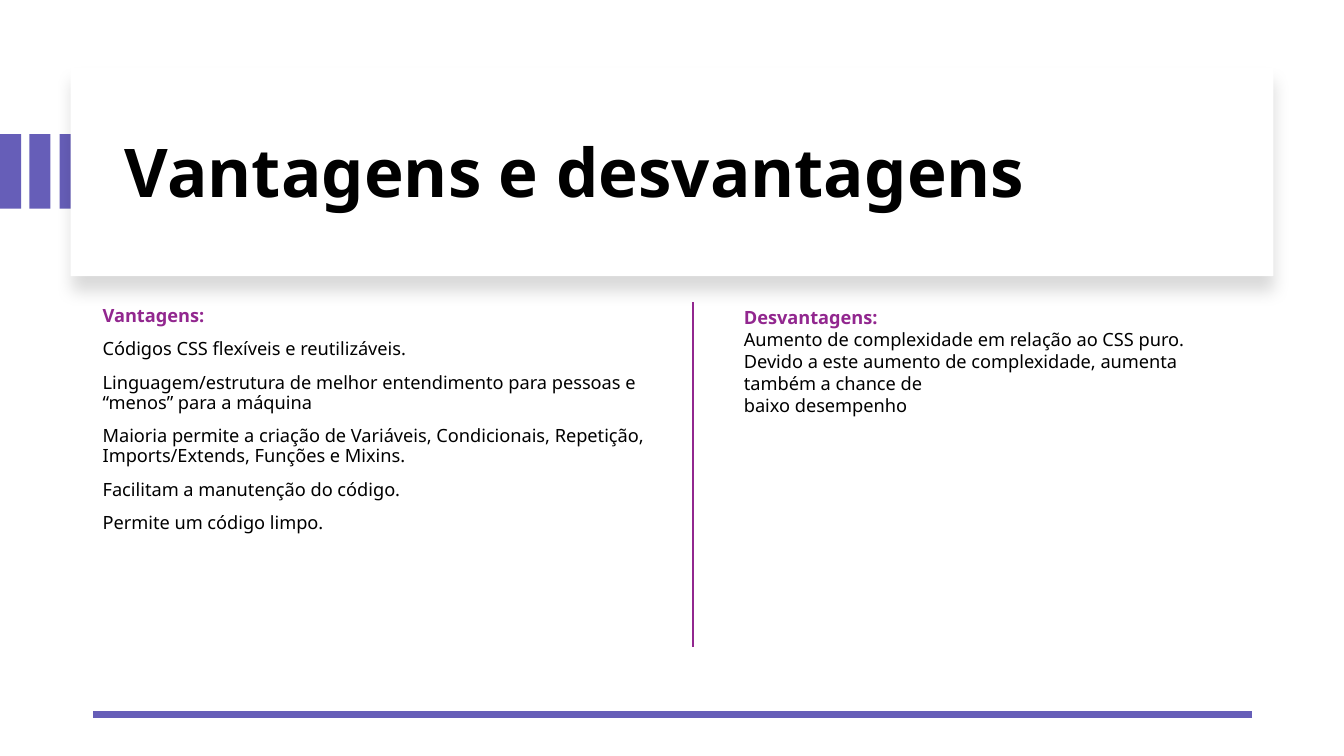
"""Builds a slide comparing advantages and disadvantages of CSS preprocessors."""
from dataclasses import dataclass

from lxml import etree
from pptx import Presentation
from pptx.dml.color import RGBColor
from pptx.enum import shapes, text
from pptx.oxml import ns
from pptx.util import Inches, Pt

BLACK = RGBColor(0x00, 0x00, 0x00)
WHITE = RGBColor(0xFF, 0xFF, 0xFF)
INDIGO = RGBColor(0x66, 0x5E, 0xB8)
PURPLE = RGBColor(0x92, 0x27, 0x8F)
FONT = "Noto Sans"


@dataclass
class Box:
    left: float
    top: float
    width: float
    height: float


@dataclass
class Rule:
    start: tuple[float, float]
    end: tuple[float, float]
    color: RGBColor
    weight: float


@dataclass
class Block:
    box: Box
    head: str
    lines: tuple[str, ...] = ()
    size: float = 13
    color: RGBColor = PURPLE
    spacing: float = 1.0
    before: float = 0
    anchor: text.MSO_ANCHOR = text.MSO_ANCHOR.TOP


BARS = [Box(round(0.295 * i, 2), 1.33, 0.21, 0.74) for i in range(3)]
PANEL = Box(0.7, 0.67, 11.93, 2.07)
BLOCKS = [
    Block(Box(1.14, 0.89, 10.87, 1.7), "Vantagens e desvantagens", size=48,
          color=BLACK, spacing=0.9, anchor=text.MSO_ANCHOR.MIDDLE),
    Block(Box(0.92, 2.99, 5.84, 3.42), "Vantagens:", (
        "Códigos CSS flexíveis e reutilizáveis.",
        "Linguagem/estrutura de melhor entendimento para pessoas e “menos” para a máquina",
        "Maioria permite a criação de Variáveis, Condicionais, Repetição, "
        "Imports/Extends, Funções e Mixins.",
        "Facilitam a manutenção do código.",
        "Permite um código limpo.",
    ), spacing=0.9, before=10),
    Block(Box(7.28, 2.99, 4.74, 1.19), "Desvantagens:", (
        "Aumento de complexidade em relação ao CSS puro.",
        "Devido a este aumento de complexidade, aumenta também a chance de",
        "baixo desempenho",
    )),
]
RULES = [
    Rule((12.42, 7.09), (0.92, 7.09), INDIGO, 4.5),
    Rule((6.87, 3), (6.87, 6.42), PURPLE, 1.5),
]


def place(box: Box) -> tuple:
    """Return the box as lengths."""
    return tuple(Inches(n) for n in (box.left, box.top, box.width, box.height))


def add_rect(slide, box: Box, color: RGBColor):
    """Draw a plain filled rectangle."""
    rect = slide.shapes.add_shape(shapes.MSO_SHAPE.RECTANGLE, *place(box))
    rect.shadow.inherit = False
    rect.fill.solid()
    rect.fill.fore_color.rgb = color
    rect.line.fill.background()
    return rect


def add_shade(rect) -> None:
    """Give the rectangle a soft shadow below it."""
    effects = rect._element.spPr.find(ns.qn("a:effectLst"))
    shade = etree.SubElement(effects, ns.qn("a:outerShdw"), blurRad=str(Pt(11)),
                             dist=str(Pt(10)), dir="5400000", algn="t", rotWithShape="0")
    color = etree.SubElement(shade, ns.qn("a:srgbClr"), val=str(BLACK))
    etree.SubElement(color, ns.qn("a:alpha"), val="15000")


def add_block(slide, block: Block) -> None:
    """Write a bold heading and the lines below it."""
    frame = slide.shapes.add_textbox(*place(block.box)).text_frame
    frame.word_wrap = True
    frame.vertical_anchor = block.anchor
    frame.text = "\n".join((block.head, *block.lines))
    for i, para in enumerate(frame.paragraphs):
        para.line_spacing = block.spacing
        para.space_before = Pt(block.before)
        font = para.runs[0].font
        font.name = FONT
        font.size = Pt(block.size)
        font.bold = i == 0
        font.color.rgb = BLACK if i else block.color


def add_rule(slide, rule: Rule) -> None:
    """Draw a straight line without a shadow."""
    ends = (Inches(n) for n in (*rule.start, *rule.end))
    line = slide.shapes.add_connector(shapes.MSO_CONNECTOR.STRAIGHT, *ends)
    line.line.color.rgb = rule.color
    line.line.width = Pt(rule.weight)
    etree.SubElement(line._element.spPr, ns.qn("a:effectLst"))


def main() -> None:
    """Build and save the slide."""
    deck = Presentation()
    deck.slide_width = Inches(13.33)
    deck.slide_height = Inches(7.5)
    slide = deck.slides.add_slide(deck.slide_layouts[6])
    for bar in BARS:
        add_rect(slide, bar, INDIGO)
    add_shade(add_rect(slide, PANEL, WHITE))
    for block in BLOCKS:
        add_block(slide, block)
    for rule in RULES:
        add_rule(slide, rule)
    deck.save("out.pptx")


if __name__ == "__main__":
    main()
